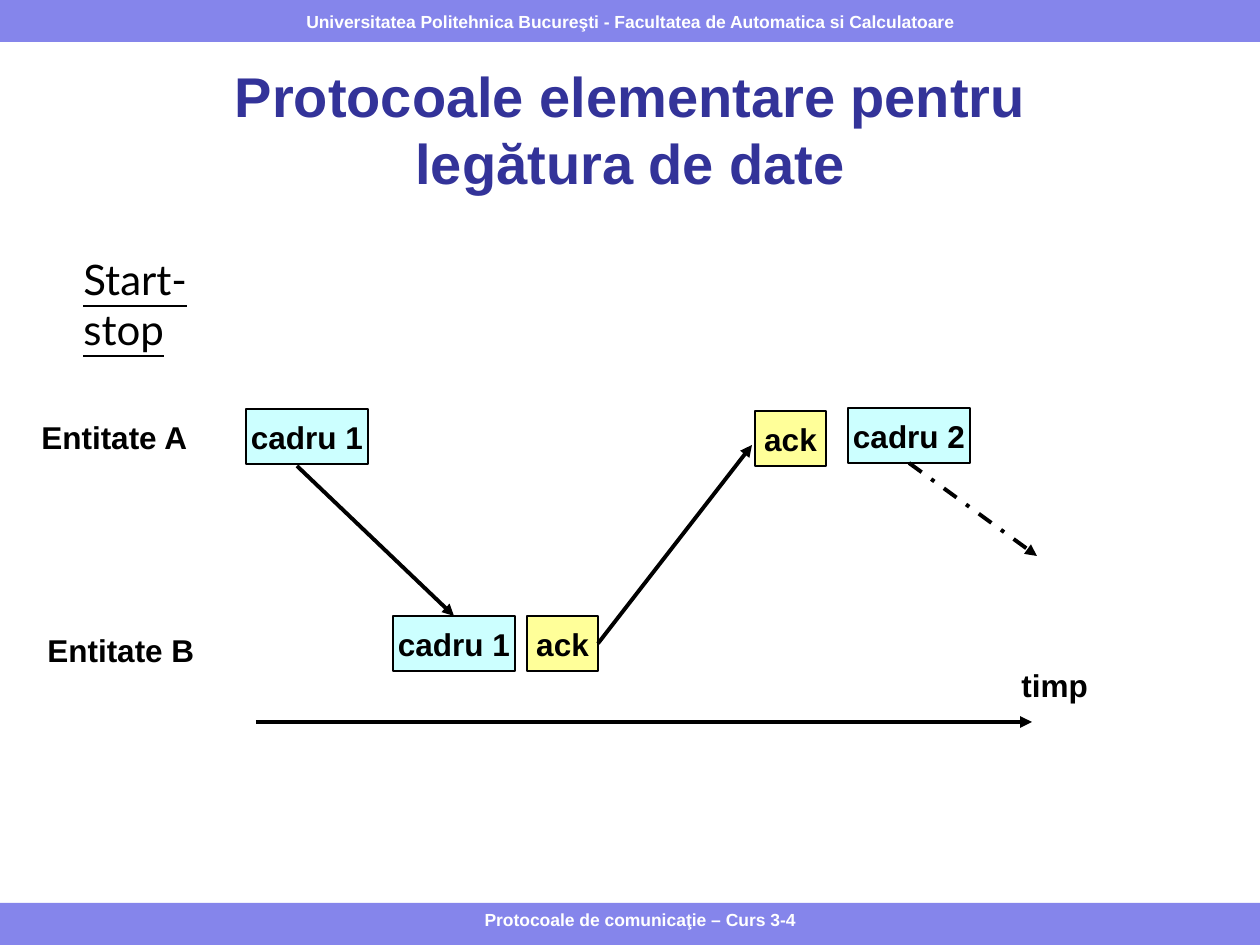
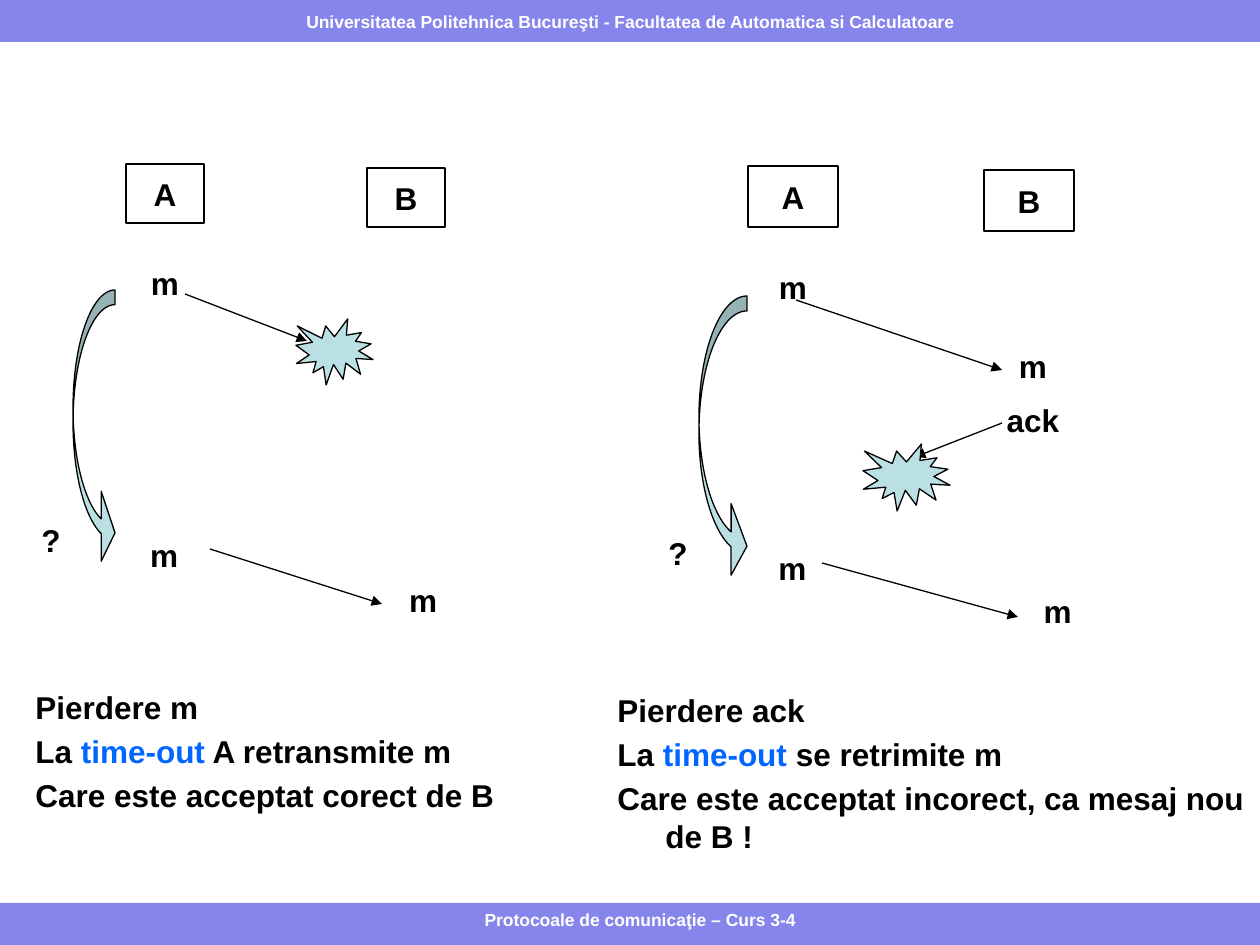
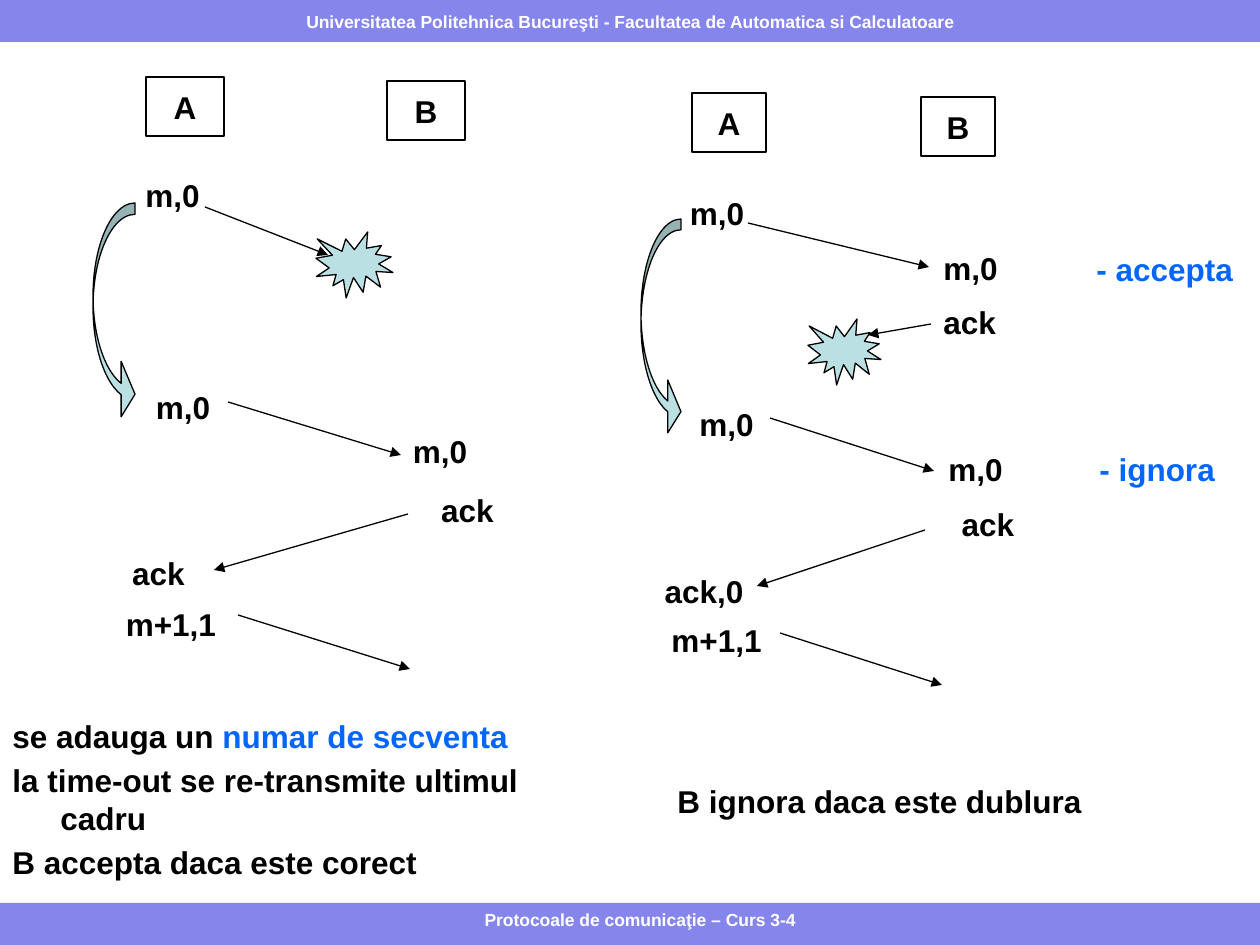
from dataclasses import dataclass

from lxml.etree import SubElement
from pptx import Presentation
from pptx.dml.color import RGBColor
from pptx.enum.dml import MSO_LINE
from pptx.enum.shapes import MSO_CONNECTOR, MSO_SHAPE as Shape
from pptx.enum.text import MSO_ANCHOR as Anchor, PP_ALIGN as Align
from pptx.oxml.ns import qn
from pptx.util import Emu, Pt

# Scale: the slide is 1260 by 945 px
PX = 914400 / 126
WIDTH, HEIGHT, BAND = 1260, 945, 42
LABEL_HEIGHT, HANGING = 50, 48
TOP, LEFT, BOTTOM, RIGHT = range(4)


@dataclass(frozen=True)
class Theme:
    font: str = "Arial"
    topic_font: str = "Lato"
    title_size: int = 32
    topic_size: int = 24
    body_size: int = 18
    band_size: int = 10
    ink: str = "000000"
    white: str = "FFFFFF"
    title: str = "333399"
    accent: str = "0066FF"
    band: str = "8585EB"
    frame: str = "CCFFFF"
    ack: str = "FFFF99"
    symbol: str = "BBE0E3"
    thin: float = 0.75
    thick: float = 2.25


THEME = Theme()


def px(*lengths):
    return [Emu(round(length * PX)) for length in lengths]


def rgb(value):
    return RGBColor.from_string(value)


# Text
def style(paragraph, size=THEME.body_size, colour=THEME.ink, align=Align.CENTER):
    paragraph.alignment = align
    font = paragraph.font
    font.name, font.size, font.bold = THEME.font, Pt(size), True
    font.color.rgb = rgb(colour)


def add_label(slide, left, top, width, *lines, align=Align.CENTER,
              size=THEME.body_size, colour=THEME.ink):
    height = LABEL_HEIGHT * len(lines)
    frame = slide.shapes.add_textbox(*px(left, top, width, height)).text_frame
    frame.word_wrap = True
    for index, line in enumerate(lines):
        paragraph = frame.add_paragraph() if index else frame.paragraphs[0]
        paragraph.text = line
        style(paragraph, size, colour, align)
        if index:
            paragraph.space_before = Pt(9)
    return frame


def add_notes(slide, box, *lines):
    """Hanging paragraphs; every second run of a line is in the accent colour."""
    frame = slide.shapes.add_textbox(*px(*box)).text_frame
    frame.word_wrap = True
    for index, runs in enumerate(lines):
        paragraph = frame.add_paragraph() if index else frame.paragraphs[0]
        style(paragraph, align=Align.LEFT)
        paragraph.space_before = Pt(3.6)
        hanging = px(HANGING)[0]
        properties = paragraph._p.get_or_add_pPr()
        properties.set("marL", str(hanging))
        properties.set("indent", str(-hanging))
        for position, text in enumerate(runs):
            run = paragraph.add_run()
            run.text = text
            if position % 2:
                run.font.color.rgb = rgb(THEME.accent)


# Shapes
def add_shape(slide, kind, box, fill=None, outlined=True):
    shape = slide.shapes.add_shape(kind, *px(*box))
    shape.shadow.inherit = False
    if fill:
        shape.fill.solid()
        shape.fill.fore_color.rgb = rgb(fill)
    else:
        shape.fill.background()
    if outlined:
        shape.line.color.rgb = rgb(THEME.ink)
        shape.line.width = Pt(THEME.thin)
    else:
        shape.line.fill.background()
    return shape


def add_box(slide, text, box, fill=None, outlined=True, **text_style):
    shape = add_shape(slide, Shape.RECTANGLE, box, fill, outlined)
    frame = shape.text_frame
    frame.word_wrap = False
    frame.vertical_anchor = Anchor.MIDDLE
    frame.text = text
    style(frame.paragraphs[0], **text_style)
    return shape


def add_arrow(slide, points, width=THEME.thin, dash=None):
    arrow = slide.shapes.add_connector(MSO_CONNECTOR.STRAIGHT, *px(*points))
    arrow.line.color.rgb = rgb(THEME.ink)
    arrow.line.width = Pt(width)
    if dash:
        arrow.line.dash_style = dash
    SubElement(arrow.line._get_or_add_ln(), qn("a:tailEnd"), type="triangle")
    SubElement(arrow._element.spPr, qn("a:effectLst"))
    return arrow


# Slide frame
def add_slide(presentation, layout):
    slide = presentation.slides.add_slide(presentation.slide_layouts[layout])
    bottom = HEIGHT - BAND
    add_shape(slide, Shape.RECTANGLE, (0, bottom, WIDTH, BAND), THEME.band, outlined=False)
    add_box(slide, "Universitatea Politehnica Bucureşti - Facultatea de Automatica si Calculatoare",
            (0, 0, WIDTH, BAND), THEME.band, outlined=False,
            size=THEME.band_size, colour=THEME.white)
    add_label(slide, 325, bottom, 630, "Protocoale de comunicaţie – Curs 3-4",
              size=THEME.band_size, colour=THEME.white)
    return slide


def set_title(slide, first_line, second_line):
    title = slide.shapes.title
    title.left, title.top, title.width, title.height = px(53, 63, 1155, 131)
    title.text_frame.vertical_anchor = Anchor.MIDDLE
    paragraph = title.text_frame.paragraphs[0]
    paragraph.add_run().text = first_line
    paragraph.add_line_break()
    paragraph.add_run().text = second_line
    style(paragraph, THEME.title_size, THEME.title)


def add_scenario(slide, station_size, station_a, station_b, arrows, loss, timeout,
                 bend, labels):
    """Exchange between A and B with one lost message and a time-out."""
    for name, corner in (("A", station_a), ("B", station_b)):
        add_box(slide, name, corner + station_size)
    for points in arrows:
        add_arrow(slide, points)
    add_shape(slide, Shape.EXPLOSION1, loss, THEME.symbol)
    loop = add_shape(slide, Shape.CURVED_RIGHT_ARROW, timeout, THEME.symbol)
    for index, value in enumerate(bend):
        loop.adjustments[index] = value
    for label in labels:
        add_label(slide, *label)


# Slides
def build_start_stop(presentation):
    slide = add_slide(presentation, 5)
    set_title(slide, "Protocoale elementare pentru", "legătura de date")

    topic = add_label(slide, 71, 247, 196, "Start-stop", align=Align.LEFT,
                      size=THEME.topic_size).paragraphs[0].font
    topic.name, topic.bold, topic.underline = THEME.topic_font, False, True

    for text, left, top, width in (("Entitate A", 29, 412, 189),
                                   ("Entitate B", 35, 625, 199),
                                   ("timp", 1009, 660, 105)):
        add_label(slide, left, top, width, text, align=Align.LEFT)

    def add_frame(text, left, top):
        return add_box(slide, text, (left, top, 122, 55), THEME.frame)

    def add_ack(left, top):
        return add_box(slide, "ack", (left, top, 71, 55), THEME.ack)

    add_frame("cadru 1", 246, 409)
    received = add_frame("cadru 1", 393, 616)
    ack_sent = add_ack(527, 616)
    add_ack(755, 411)
    next_frame = add_frame("cadru 2", 848, 408)

    send = add_arrow(slide, (297, 466, 454, 616), THEME.thick)
    send.end_connect(received, TOP)
    reply = add_arrow(slide, (598, 643, 752, 445), THEME.thick)
    reply.begin_connect(ack_sent, RIGHT)
    send_next = add_arrow(slide, (909, 463, 1037, 556), THEME.thick, MSO_LINE.DASH_DOT)
    send_next.begin_connect(next_frame, BOTTOM)
    add_arrow(slide, (256, 722, 1032, 722), THEME.thick)


def build_losses(presentation):
    slide = add_slide(presentation, 6)
    # Lost message
    add_scenario(
        slide, (78, 59), (126, 164), (367, 168),
        arrows=[(185, 294, 307, 341), (210, 549, 382, 604)],
        loss=(296, 319, 77, 66), timeout=(73, 290, 42, 278), bend=(0.35, 1.67, 0.33),
        labels=[(126, 258, 78, "m"), (118, 530, 92, "m"), (377, 575, 92, "m"),
                (29, 515, 42, "?")])
    add_notes(slide, (23, 682, 524, 200),
              ("Pierdere m",),
              ("La ", "time-out", " A retransmite m"),
              ("Care este acceptat corect de B",))
    # Lost acknowledgement
    add_scenario(
        slide, (90, 61), (748, 166), (984, 170),
        arrows=[(796, 300, 1002, 370), (1002, 423, 915, 457), (822, 563, 1018, 617)],
        loss=(863, 444, 87, 67), timeout=(699, 296, 48, 286), bend=(0.31, 1.49, 0.33),
        labels=[(748, 262, 90, "m"), (988, 341, 90, "m", "ack"), (740, 543, 105, "m"),
                (1005, 586, 105, "m"), (654, 528, 48, "?")])
    add_notes(slide, (605, 685, 655, 185),
              ("Pierdere ack",),
              ("La ", "time-out", " se retrimite m"),
              ("Care este acceptat incorect, ca mesaj nou de B !",))


def build_sequence_numbers(presentation):
    slide = add_slide(presentation, 6)
    bend = (0.27, 1.32, 0.33)
    # Lost message
    add_scenario(
        slide, (78, 59), (146, 77), (387, 81),
        arrows=[(205, 207, 328, 255), (228, 402, 401, 455),
                (408, 514, 214, 570), (238, 615, 410, 669)],
        loss=(316, 232, 77, 66), timeout=(93, 203, 42, 219), bend=bend,
        labels=[(120, 170, 105, "m,0"), (137, 382, 92, "m,0"), (394, 426, 92, "m,0"),
                (406, 485, 123, "ack"), (97, 548, 123, "ack"), (108, 599, 126, "m+1,1")])
    add_notes(slide, (0, 711, 547, 178),
              ("se adauga un ", "numar de secventa"),
              ("la time-out se re-transmite ultimul cadru",),
              ("B accepta daca este corect",))
    # Lost acknowledgement
    add_scenario(
        slide, (74, 59), (692, 93), (921, 97),
        arrows=[(748, 223, 929, 267), (931, 324, 868, 335), (770, 418, 934, 471),
                (925, 530, 757, 586), (780, 633, 942, 685)],
        loss=(808, 319, 73, 66), timeout=(641, 219, 40, 219), bend=bend,
        labels=[(667, 188, 100, "m,0"), (683, 399, 87, "m,0"), (929, 499, 118, "ack"),
                (645, 566, 118, "ack,0"), (656, 615, 121, "m+1,1")])
    add_label(slide, 931, 243, 111, "m,0", "ack", align=Align.LEFT)
    add_label(slide, 936, 444, 100, "m,0", align=Align.LEFT)
    for text, left, top in (("- accepta", 1084, 244), ("- ignora", 1087, 444)):
        add_label(slide, left, top, WIDTH - left, text, align=Align.LEFT, colour=THEME.accent)
    add_notes(slide, (665, 776, 562, 101), ("B ignora daca este dublura",))


def main():
    presentation = Presentation()
    presentation.slide_width, presentation.slide_height = px(WIDTH, HEIGHT)
    build_start_stop(presentation)
    build_losses(presentation)
    build_sequence_numbers(presentation)
    presentation.save("out.pptx")


if __name__ == "__main__":
    main()
